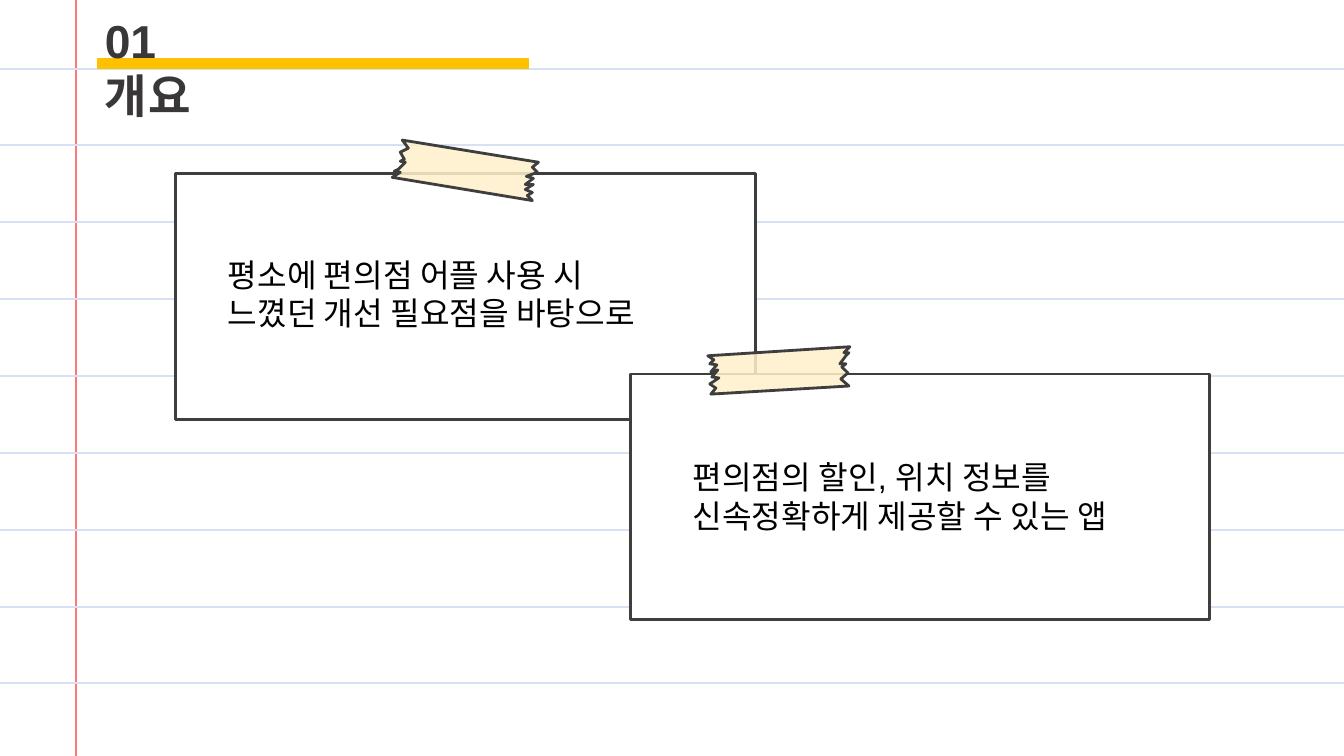
from pptx import Presentation
from pptx.dml.color import RGBColor
from pptx.enum.shapes import MSO_CONNECTOR, MSO_SHAPE
from pptx.oxml.ns import qn
from pptx.util import Pt
from lxml.etree import SubElement

SCALE = 9144
WIDTH, HEIGHT = 1333, 750
COLORS = {"rule": "D8E1F3", "margin": "FF7876", "ink": "3E3E3E", "title": "393737",
          "marker": "FFC000", "tape": "FFF1CC", "card": "FFFFFF", "text": "000000"}
LATIN, KOREAN = "Arial", "Noto Sans CJK KR"

RULE_GAPS = {2: (174, 750), 3: (174, 750), 4: (174, 1200),
             5: (625, 1200), 6: (625, 1200), 7: (625, 1200)}
TILTED_TAPE = [(528, 199), (389, 176), (397, 171), (391, 170), (395, 168), (402, 161),
               (397, 160), (401, 158), (397, 151), (405, 147), (399, 139), (534, 161),
               (528, 166), (533, 171), (522, 175), (529, 177), (521, 183), (529, 183),
               (521, 188), (528, 191), (523, 194)]
LEVEL_TAPE = [(705, 391), (842, 383), (834, 376), (841, 370), (835, 364), (839, 361),
              (833, 361), (839, 353), (842, 350), (837, 350), (843, 344), (702, 353),
              (708, 357), (704, 361), (711, 362), (705, 369), (712, 367), (706, 374),
              (713, 375), (704, 381), (710, 385)]


class NotebookSlide:
    """Draws notebook elements on one slide, with lengths in px."""

    def __init__(self, presentation):
        self.slide = presentation.slides.add_slide(presentation.slide_layouts[6])
        self.shapes = self.slide.shapes

    def color(self, name):
        return RGBColor.from_string(COLORS[name])

    def outline(self, shape, color, width):
        shape.line.color.rgb = self.color(color)
        shape.line.width = Pt(width)

    def line(self, start, end, color, width=1.42):
        points = [value * SCALE for value in (*start, *end)]
        connector = self.shapes.add_connector(MSO_CONNECTOR.STRAIGHT, *points)
        self.outline(connector, color, width)
        SubElement(connector._element.spPr, qn("a:effectLst"))

    def card(self, left, top, filled):
        box = [value * SCALE for value in (left, top, 575, 244)]
        shape = self.shapes.add_shape(MSO_SHAPE.RECTANGLE, *box)
        shape.shadow.inherit = False
        if filled:
            shape.fill.solid()
            shape.fill.fore_color.rgb = self.color("card")
        else:
            shape.fill.background()
        self.outline(shape, "ink", 2)

    def tape(self, points):
        builder = self.shapes.build_freeform(*points[0], scale=SCALE)
        builder.add_line_segments(points[1:], close=True)
        shape = builder.convert_to_shape()
        shape.shadow.inherit = False
        shape.fill.solid()
        shape.fill.fore_color.rgb = self.color("tape")
        tint = shape._element.spPr.find(qn("a:solidFill"))[0]
        SubElement(tint, qn("a:alpha"), val="86000")
        self.outline(shape, "ink", 2)

    def text(self, box, lines, size, color, before, bold=False):
        shape = self.shapes.add_textbox(*[value * SCALE for value in box])
        frame = shape.text_frame
        frame.word_wrap = True
        frame.margin_left = frame.margin_right = frame.margin_bottom = 0
        frame.margin_top = SCALE
        paragraph = frame.paragraphs[0]
        paragraph.space_before = Pt(before)
        paragraph.line_spacing = 1.0
        paragraph.font.size = Pt(size)
        paragraph.font.bold = bold
        paragraph.font.color.rgb = self.color(color)
        for index, line in enumerate(lines):
            if index:
                paragraph.add_line_break()
            for content, font, spacing in line:
                run = paragraph.add_run()
                run.text = content
                run.font.name = font
                properties = run._r.get_or_add_rPr()
                properties.set("spc", str(spacing))
                SubElement(properties, qn("a:ea"), typeface=font)


def main():
    presentation = Presentation()
    presentation.slide_width = WIDTH * SCALE
    presentation.slide_height = HEIGHT * SCALE
    notebook = NotebookSlide(presentation)

    notebook.line((75, 0), (75, HEIGHT), "margin")
    for row in range(9):
        y = round(67.7 + 76.3 * row)
        if row in RULE_GAPS:
            gap_start, gap_end = RULE_GAPS[row]
            notebook.line((0, y), (gap_start, y), "rule")
            notebook.line((gap_end, y), (WIDTH, y), "rule")
        else:
            notebook.line((0, y), (WIDTH, y), "rule")

    notebook.card(174, 172, filled=False)
    notebook.line((96, 63), (525, 63), "marker", 7.25)
    notebook.text((104, 11, 158, 58), [[("01", LATIN, -10)], [("개요", KOREAN, 60)]],
                  33, "title", 1, bold=True)
    notebook.tape(TILTED_TAPE)
    notebook.text((226, 252, 445, 80),
                  [[("평소에 편의점 어플 사용 시", KOREAN, 0)],
                   [("느꼈던 개선 필요점을 바탕으로", KOREAN, 0)]], 23, "text", 0.8)

    notebook.card(625, 371, filled=True)
    notebook.tape(LEVEL_TAPE)
    notebook.text((687, 453, 453, 80),
                  [[("편의점의 ", KOREAN, 0), ("할인", KOREAN, -10), (", ", LATIN, -10),
                    ("위치 정보를", KOREAN, 0)],
                   [("신속정확하게 제공할 수 있는 앱", KOREAN, 0)]], 23, "text", 0.8)
    presentation.save("out.pptx")


if __name__ == "__main__":
    main()
